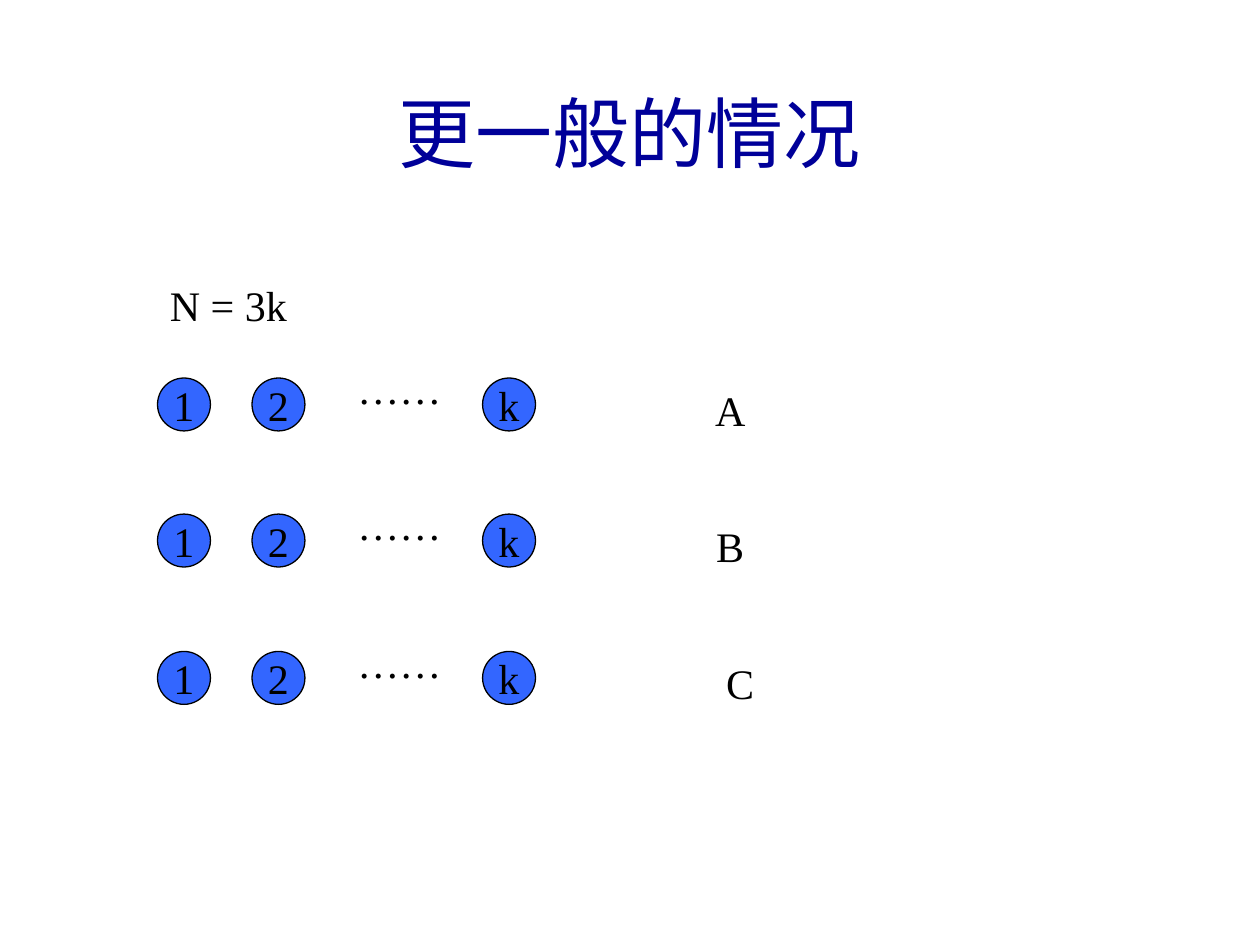
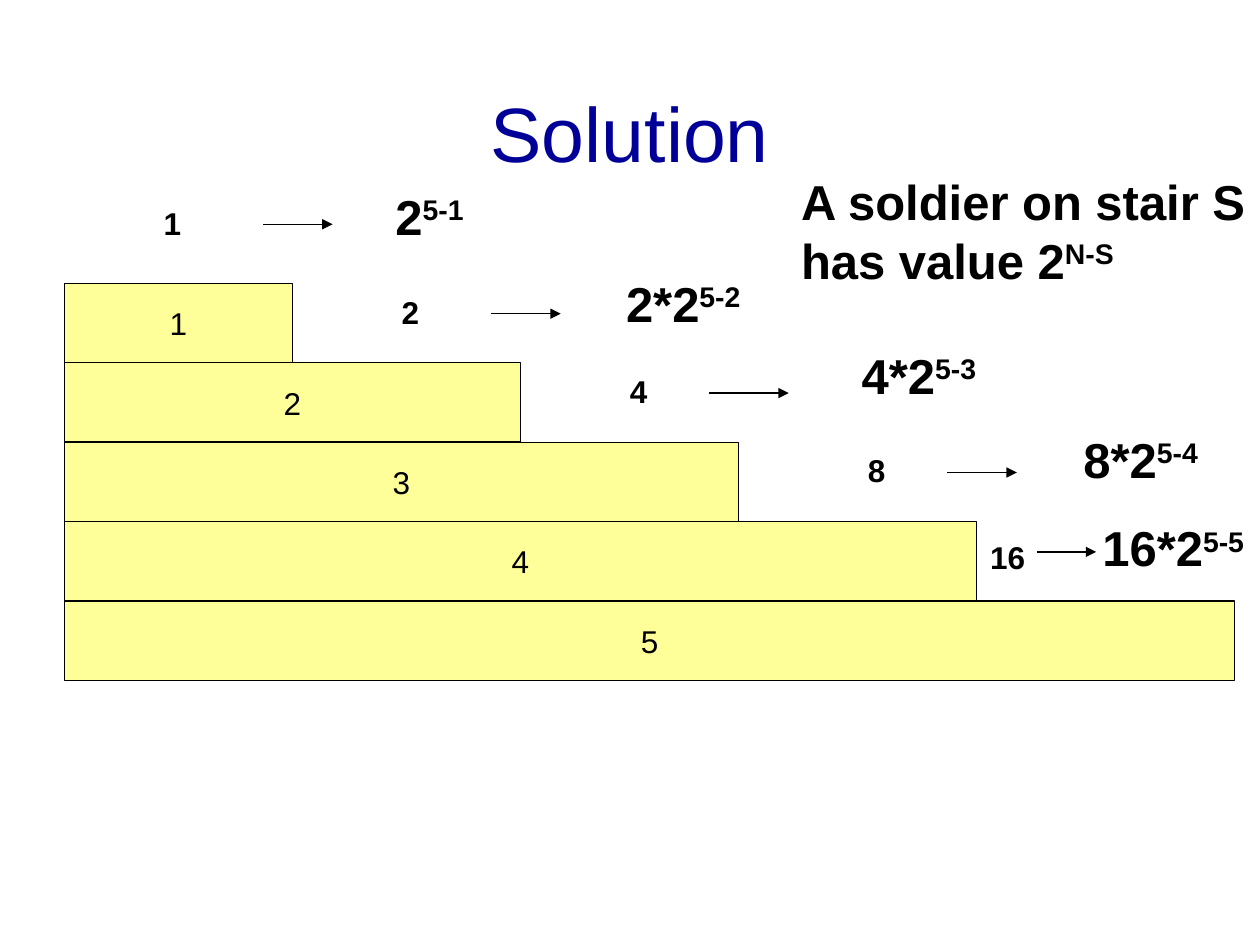
"""Build two slides on splitting soldiers into rows and valuing them by stair."""
from dataclasses import dataclass

from lxml.etree import SubElement
from pptx import Presentation
from pptx.dml.color import RGBColor
from pptx.enum.shapes import MSO_CONNECTOR, MSO_SHAPE
from pptx.enum.text import MSO_ANCHOR, MSO_AUTO_SIZE, PP_ALIGN
from pptx.oxml.ns import qn
from pptx.util import Emu, Pt

EMU_PER_PX = 9144
NAVY, BLUE, YELLOW, BLACK = "000099", "3366FF", "FFFF99", "000000"
LINE_WIDTH = 0.75
SUPERSCRIPT = "30000"


@dataclass(frozen=True)
class Box:
    left: int
    top: int
    width: int
    height: int


@dataclass(frozen=True)
class TextStyle:
    size: int
    font: str = "Arial"
    color: str = BLACK
    bold: bool = False
    align: PP_ALIGN = PP_ALIGN.CENTER
    anchor: MSO_ANCHOR = MSO_ANCHOR.MIDDLE
    wrap: bool = False
    fit: MSO_AUTO_SIZE = MSO_AUTO_SIZE.NONE
    before: int = 0


@dataclass(frozen=True)
class Soldiers:
    """Soldiers standing on one stair, with the value they add up to."""
    stair_width: int
    count_box: Box
    arrow_start: int
    arrow_end: int
    arrow_y: int
    value_box: Box


TIMES = "Times New Roman"
GROW = {"anchor": MSO_ANCHOR.TOP, "fit": MSO_AUTO_SIZE.SHAPE_TO_FIT_TEXT}
BOLD_LEFT = {"bold": True, "align": PP_ALIGN.LEFT, **GROW}
TITLE = TextStyle(44, color=NAVY, wrap=True)
CIRCLE_TEXT = TextStyle(24, TIMES, before=6)
ROW_TEXT = TextStyle(24, TIMES, wrap=True, before=15, **GROW)
FORMULA = TextStyle(24, TIMES, align=PP_ALIGN.LEFT, wrap=True, before=15, **GROW)
STAIR_TEXT = TextStyle(18)
COUNT = TextStyle(18, **BOLD_LEFT)
VALUE = TextStyle(28, wrap=True, **BOLD_LEFT)
RULE = TextStyle(28, **BOLD_LEFT)

TITLE_BOX = Box(33, 42, 934, 125)
ROW_TOP, ROW_STEP, CIRCLE_SIZE = 300, 108.5, 42
CIRCLES = {"1": 125, "2": 200, "k": 383}
ROW_LABELS = {"A": (492, 175), "B": (517, 125), "C": (500, 175)}
STAIR_LEFT, STAIR_TOP, STAIR_HEIGHT = 51, 225, 63
STAIRS = [
    Soldiers(181, Box(120, 157, 34, 40), 209, 264, 178, Box(304, 143, 78, 57)),
    Soldiers(362, Box(309, 228, 34, 40), 390, 445, 249, Box(487, 212, 115, 57)),
    Soldiers(535, Box(490, 290, 34, 40), 563, 626, 312, Box(674, 269, 115, 57)),
    Soldiers(724, Box(679, 353, 34, 40), 752, 807, 375, Box(850, 336, 115, 57)),
    Soldiers(929, Box(776, 422, 48, 40), 823, 870, 438, Box(865, 406, 135, 57)),
]


def px(length: int) -> Emu:
    """Turn px into EMU."""
    return Emu(length * EMU_PER_PX)


def rgb(color: str) -> RGBColor:
    """Turn a hex string into a colour."""
    return RGBColor.from_string(color)


def place(box: Box) -> tuple:
    """Give left, top, width and height in EMU."""
    return px(box.left), px(box.top), px(box.width), px(box.height)


def apply(target, formats: dict) -> None:
    """Set each attribute named in the format values."""
    for name, value in formats.items():
        setattr(target, name, value)


def write(shape, text: str, style: TextStyle) -> None:
    """Write lines of text, raising what follows a caret."""
    frame = shape.text_frame
    apply(frame, {"word_wrap": style.wrap, "auto_size": style.fit,
                  "vertical_anchor": style.anchor})
    for number, line in enumerate(text.split("\n")):
        para = frame.add_paragraph() if number else frame.paragraphs[0]
        apply(para, {"alignment": style.align, "space_before": Pt(style.before)})
        base, _, exponent = line.partition("^")
        for part, raised in ((base, False), (exponent, True)):
            if not part:
                continue
            span = para.add_run()
            span.text = part
            apply(span.font, {"size": Pt(style.size), "name": style.font,
                              "bold": style.bold})
            span.font.color.rgb = rgb(style.color)
            if raised:
                span._r.get_or_add_rPr().set("baseline", SUPERSCRIPT)


def add_text(page, box: Box, text: str, style: TextStyle) -> None:
    """Add a text box."""
    write(page.shapes.add_textbox(*place(box)), text, style)


def add_figure(page, kind: MSO_SHAPE, box: Box, fill: str, text: str,
               style: TextStyle) -> None:
    """Add a filled, outlined shape with a label."""
    shape = page.shapes.add_shape(kind, *place(box))
    shape.shadow.inherit = False
    shape.fill.solid()
    shape.fill.fore_color.rgb = rgb(fill)
    shape.line.color.rgb = rgb(BLACK)
    shape.line.width = Pt(LINE_WIDTH)
    write(shape, text, style)


def add_arrow(page, start: int, end: int, y: int) -> None:
    """Add a level arrow pointing right."""
    arrow = page.shapes.add_connector(MSO_CONNECTOR.STRAIGHT, px(start), px(y),
                                      px(end), px(y))
    arrow.line.color.rgb = rgb(BLACK)
    arrow.line.width = Pt(LINE_WIDTH)
    SubElement(arrow.line._get_or_add_ln(), qn("a:tailEnd"), type="triangle")
    SubElement(arrow._element.spPr, qn("a:effectLst"))


def add_page(deck, title: str):
    """Add a blank page with a title."""
    page = deck.slides.add_slide(deck.slide_layouts[6])
    add_text(page, TITLE_BOX, title, TITLE)
    return page


def build_general_case(deck) -> None:
    """Draw three rows of k circles."""
    page = add_page(deck, "更一般的情况")
    add_text(page, Box(125, 217, 567, 50), "N = 3k", FORMULA)
    for row, (label, (left, width)) in enumerate(ROW_LABELS.items()):
        top = round(ROW_TOP + row * ROW_STEP)
        for text, circle_left in CIRCLES.items():
            add_figure(page, MSO_SHAPE.OVAL,
                       Box(circle_left, top, CIRCLE_SIZE, CIRCLE_SIZE),
                       BLUE, text, CIRCLE_TEXT)
        add_text(page, Box(267, top - 17, 100, 50), "……", ROW_TEXT)
        add_text(page, Box(left, top, width, 50), label, ROW_TEXT)


def build_solution(deck) -> None:
    """Draw the stairs and the value of the soldiers on each."""
    page = add_page(deck, "Solution")
    for index, soldiers in enumerate(STAIRS):
        stair, count = index + 1, 2 ** index
        factor = f"{count}*" if index else ""
        stair_box = Box(STAIR_LEFT, STAIR_TOP + index * STAIR_HEIGHT,
                        soldiers.stair_width, STAIR_HEIGHT)
        add_figure(page, MSO_SHAPE.RECTANGLE, stair_box, YELLOW, str(stair),
                   STAIR_TEXT)
        add_text(page, soldiers.count_box, str(count), COUNT)
        add_arrow(page, soldiers.arrow_start, soldiers.arrow_end, soldiers.arrow_y)
        add_text(page, soldiers.value_box, f"{factor}2^{len(STAIRS)}-{stair}", VALUE)
    add_text(page, Box(626, 131, 374, 104),
             "A soldier on stair S\nhas value 2^N-S", RULE)


def main() -> None:
    """Build and save the deck."""
    deck = Presentation()
    apply(deck, {"slide_width": px(1000), "slide_height": px(750)})
    build_general_case(deck)
    build_solution(deck)
    deck.save("out.pptx")


if __name__ == "__main__":
    main()
